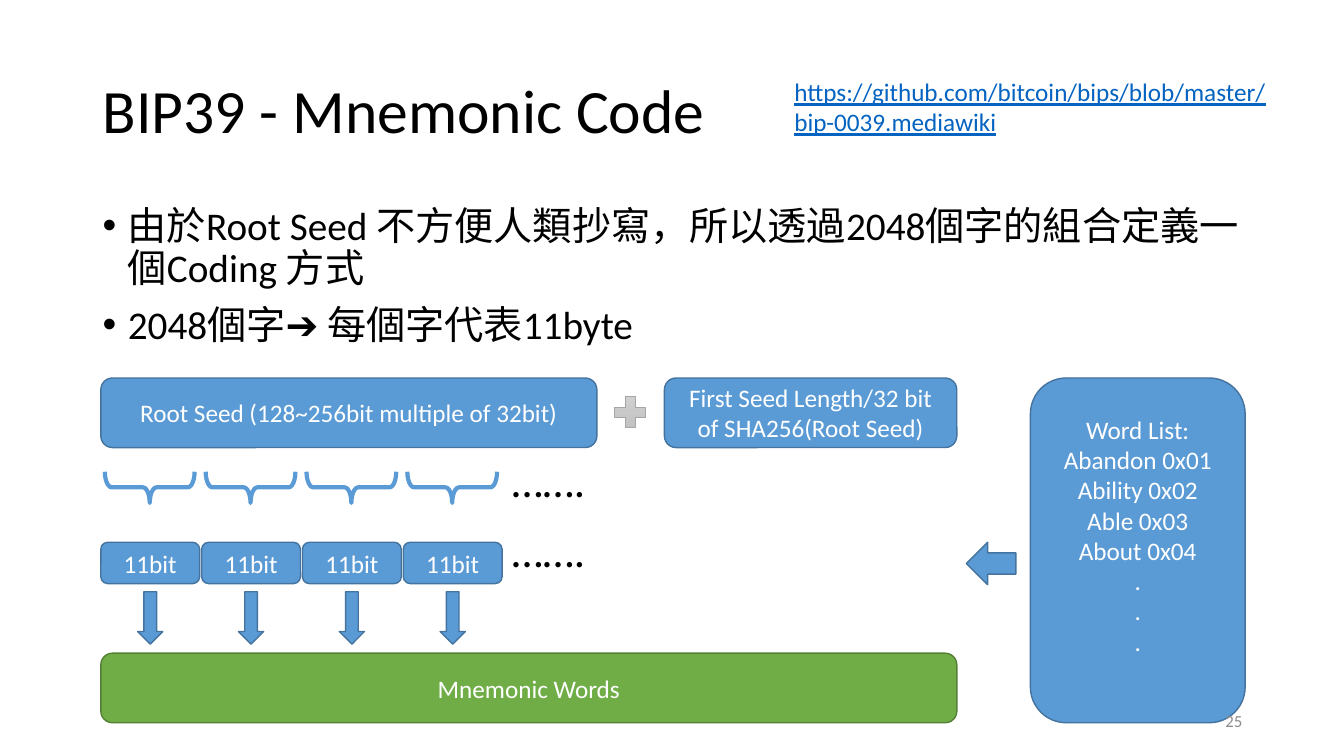
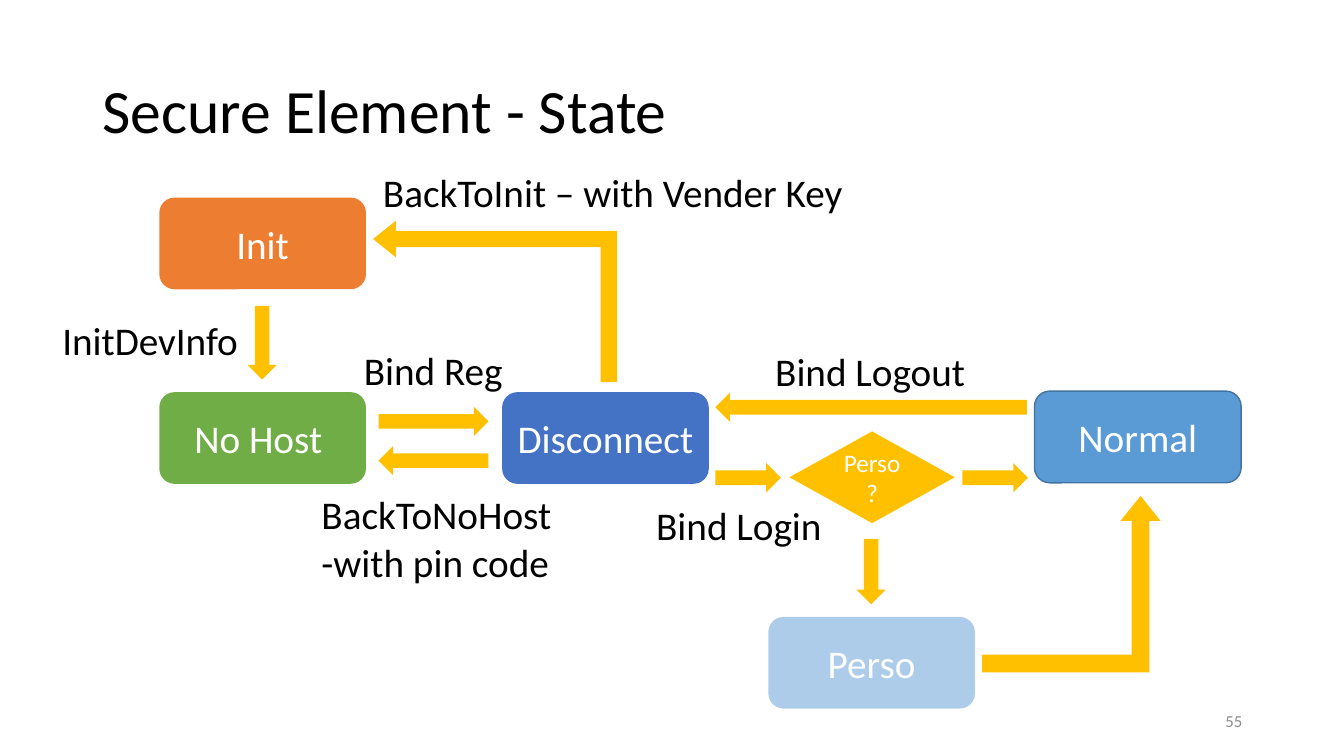
from lxml import etree
from pptx import Presentation
from pptx.dml.color import RGBColor
from pptx.enum.shapes import MSO_SHAPE as Preset
from pptx.enum.text import MSO_ANCHOR as Anchor, PP_ALIGN as Align
from pptx.oxml.ns import qn
from pptx.util import Inches, Pt

FONT = "Calibri"
BLACK, WHITE, GRAY, LINK = "000000", "FFFFFF", "8C8C8C", "0563C1"
BLUE, BLUE_EDGE, NAVY = "5B9BD5", "43739E", "4472C4"
GREEN, GREEN_EDGE, ORANGE, GOLD = "70AD47", "538035", "ED7D31", "FFC000"
PLUS_TOP, PLUS_BOTTOM, PLUS_EDGE = "D2D2D2", "C0C0C0", "A5A5A5"

SLIDE_WIDTH, SLIDE_HEIGHT = 13.33, 7.5
MARGIN, CONTENT_WIDTH = 0.92, 11.5
BENT = (0.101, 0.113, 0.141)

BULLETS = [
    "由於Root Seed 不方便人類抄寫，所以透過2048個字的組合定義一個Coding 方式",
    "2048個字➔ 每個字代表11byte",
]
SOURCE_URL = "https://github.com/bitcoin/bips/blob/master/bip-0039.mediawiki"
WORD_LIST = ["Word List:", "Abandon 0x01", "Ability 0x02", "Able 0x03", "About 0x04", ".", ".", "."]
CHUNKS, CHUNK_LEFT, CHUNK_PITCH, CHUNK_WIDTH = 4, 1, 1, 0.98
SEED_TOP, BAR_HEIGHT, CHUNK_TOP, WORDS_TOP = 3.75, 0.69, 5.38, 6.48
SEED_BARS = [
    (CHUNK_LEFT, SEED_TOP, 4.92, "Root Seed (128~256bit multiple of 32bit)", BLUE, BLUE_EDGE),
    (6.59, SEED_TOP, 2.9, "First Seed Length/32 bit of SHA256(Root Seed)", BLUE, BLUE_EDGE),
    (CHUNK_LEFT, WORDS_TOP, 8.49, "Mnemonic Words", GREEN, GREEN_EDGE),
]

STATE_WIDTH, STATE_HEIGHT = 2.05, 0.91
STATES = [
    ("Init", 1.58, 1.96, ORANGE, None, 100),
    ("No Host ", 1.58, 3.89, GREEN, None, 100),
    ("Disconnect", 4.98, 3.89, NAVY, None, 100),
    ("Normal", 10.26, 3.88, BLUE, BLUE_EDGE, 100),
    ("Perso", 7.62, 6.12, BLUE, None, 50),
]
STATE_ARROWS = [
    (4.3, 4.18, 1.09, 0),
    (2.6, 3.4, 0.73, 90),
    (4.3, 4.57, 1.09, 180),
    (7.42, 4.74, 0.65, 0),
    (9.87, 4.74, 0.65, 0),
    (8.64, 5.67, 0.65, 90),
    (8.64, 4.04, 3.09, 180),
]
BENT_ARROWS = [(4.11, 1.78, 1.6, 2.42, 270), (9.74, 4.92, 1.77, 1.75, 0)]
STATE_LABELS = [
    (["Bind Reg"], 3.51, 3.39, 1.59, 0.57),
    (["BackToNoHost", "-with pin code"], 3.09, 4.82, 2.51, 1.04),
    (["Bind Login"], 6.41, 4.92, 1.86, 0.57),
    (["BackToInit – with Vender Key"], 3.7, 1.62, 5.01, 0.57),
    (["Bind Logout"], 7.59, 3.4, 2.11, 0.57),
    (["InitDevInfo"], 0.52, 3.09, 1.96, 0.57),
]


def rgb(value):
    return RGBColor.from_string(value)


def write(shape, lines, size, color, align=Align.LEFT, anchor=Anchor.TOP, wrap=True,
          spacing=None, bullet=False, underline=None):
    frame = shape.text_frame
    frame.word_wrap = wrap
    frame.vertical_anchor = anchor
    for index, line in enumerate(lines):
        paragraph = frame.add_paragraph() if index else frame.paragraphs[0]
        paragraph.alignment = align
        if spacing:
            paragraph.line_spacing = spacing
        if bullet:
            if index:
                paragraph.space_before = Pt(10)
            properties = paragraph._p.get_or_add_pPr()
            properties.set("marL", str(Inches(0.25)))
            properties.set("indent", str(Inches(-0.25)))
            etree.SubElement(properties, qn("a:buFont")).set("typeface", "Arial")
            etree.SubElement(properties, qn("a:buChar")).set("char", "•")
        run = paragraph.add_run()
        run.text = line
        run.font.name = FONT
        run.font.size = Pt(size)
        run.font.color.rgb = rgb(color)
        run.font.underline = underline


def add_text(slide, box, lines, size, color=BLACK, **style):
    shape = slide.shapes.add_textbox(*map(Inches, box))
    write(shape, lines, size, color, **style)
    return shape


def add_figure(slide, preset, box, fill=None, edge=None, edge_width=1, rotation=0,
               adjustments=(), opacity=100):
    shape = slide.shapes.add_shape(preset, *map(Inches, box))
    shape.shadow.inherit = False
    shape.rotation = rotation
    for index, value in enumerate(adjustments):
        shape.adjustments[index] = value
    if fill:
        shape.fill.solid()
        shape.fill.fore_color.rgb = rgb(fill)
        if opacity < 100:
            color = shape._element.spPr.find(qn("a:solidFill"))[0]
            etree.SubElement(color, qn("a:alpha")).set("val", str(opacity * 1000))
    else:
        shape.fill.background()
    if edge:
        shape.line.color.rgb = rgb(edge)
        shape.line.width = Pt(edge_width)
    else:
        shape.line.fill.background()
    return shape


def add_box(slide, box, lines, size, fill, edge=None, preset=Preset.ROUNDED_RECTANGLE, opacity=100):
    shape = add_figure(slide, preset, box, fill, edge, opacity=opacity)
    write(shape, lines, size, WHITE, align=Align.CENTER, anchor=Anchor.MIDDLE)
    return shape


def add_arrow(slide, center_x, center_y, length, thickness, rotation, fill, edge=None):
    box = (center_x - length / 2, center_y - thickness / 2, length, thickness)
    return add_figure(slide, Preset.RIGHT_ARROW, box, fill, edge, rotation=rotation)


def add_slide(presentation, title):
    slide = presentation.slides.add_slide(presentation.slide_layouts[6])
    add_text(slide, (MARGIN, 0.4, CONTENT_WIDTH, 1.45), [title], 44,
             anchor=Anchor.MIDDLE, spacing=0.9)
    return slide


def add_number(slide, number):
    add_text(slide, (MARGIN + CONTENT_WIDTH - 3, 6.95, 3, 0.4), [str(number)], 12, GRAY,
             align=Align.RIGHT, anchor=Anchor.MIDDLE)


def build_mnemonic(presentation):
    slide = add_slide(presentation, "BIP39 - Mnemonic Code")
    add_text(slide, (MARGIN, 2, CONTENT_WIDTH, 1.93), BULLETS, 28, spacing=0.9, bullet=True)
    word_list = add_box(slide, (10.22, SEED_TOP, 2.13, 3.42), WORD_LIST, 18, BLUE, BLUE_EDGE)
    word_list.text_frame.margin_bottom = Inches(0.35)
    add_text(slide, (7.78, 0.71, 6.67, 0.71), [SOURCE_URL], 18, LINK, underline=True)

    for left, top, width, label, fill, edge in SEED_BARS:
        add_box(slide, (left, top, width, BAR_HEIGHT), [label], 18, fill, edge)

    for index in range(CHUNKS):
        left = CHUNK_LEFT + index * CHUNK_PITCH
        center = left + CHUNK_WIDTH / 2
        add_figure(slide, Preset.RIGHT_BRACE, (center - 0.16, 4.39, 0.31, 0.89), None, BLUE, 3,
                   rotation=90, adjustments=(0.217, 0.5))
        add_box(slide, (left, CHUNK_TOP, CHUNK_WIDTH, 0.41), ["11bit"], 18, BLUE, BLUE_EDGE)
        add_arrow(slide, center, 6.13, 0.52, 0.25, 90, BLUE, BLUE_EDGE)
    for top in (4.44, 5.14):
        add_text(slide, (4.98, top, 0.94, 0.64), ["……."], 32, wrap=False)

    plus = add_figure(slide, Preset.MATH_PLUS, (6.04, 3.88, 0.42, 0.42), None, PLUS_EDGE, 0.5)
    plus.fill.gradient()
    plus.fill.gradient_angle = 270
    for stop, color in zip(plus.fill.gradient_stops, (PLUS_TOP, PLUS_BOTTOM)):
        stop.color.rgb = rgb(color)
    add_arrow(slide, 9.83, 5.59, 0.49, 0.42, 180, BLUE, BLUE_EDGE)
    add_number(slide, 25)


def build_states(presentation):
    slide = add_slide(presentation, "Secure Element - State")
    for label, left, top, fill, edge, opacity in STATES:
        add_box(slide, (left, top, STATE_WIDTH, STATE_HEIGHT), [label], 28, fill, edge,
                opacity=opacity)
    add_box(slide, (7.83, 4.28, 1.64, STATE_HEIGHT), ["Perso?"], 18, GOLD,
            preset=Preset.FLOWCHART_DECISION)
    for center_x, center_y, length, rotation in STATE_ARROWS:
        add_arrow(slide, center_x, center_y, length, 0.29, rotation, GOLD)
    for *box, rotation in BENT_ARROWS:
        add_figure(slide, Preset.BENT_UP_ARROW, box, GOLD, rotation=rotation, adjustments=BENT)
    for lines, *box in STATE_LABELS:
        add_text(slide, box, lines, 28, wrap=False)
    add_number(slide, 55)


def main():
    presentation = Presentation()
    presentation.slide_width = Inches(SLIDE_WIDTH)
    presentation.slide_height = Inches(SLIDE_HEIGHT)
    build_mnemonic(presentation)
    build_states(presentation)
    presentation.save("out.pptx")


if __name__ == "__main__":
    main()
